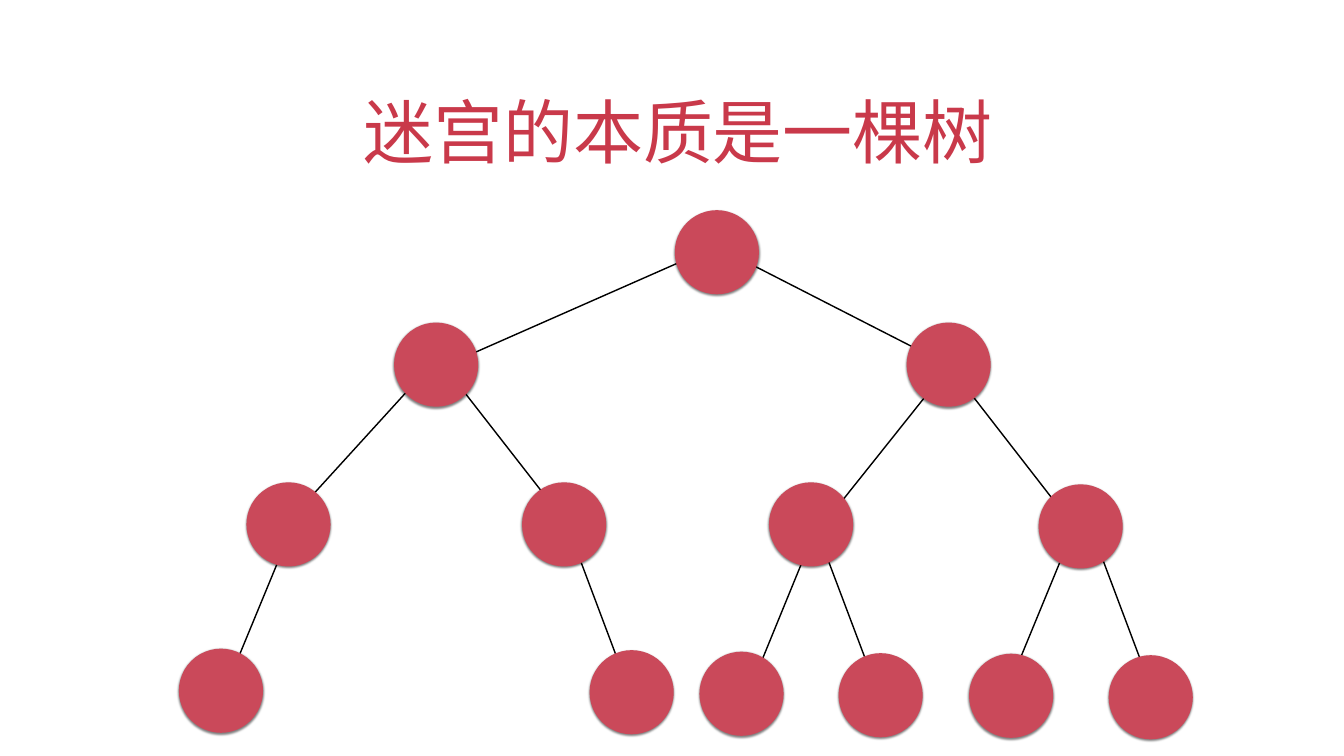
from typing import NamedTuple

from lxml import etree
from pptx import Presentation
from pptx import util as u
from pptx.dml.color import RGBColor
from pptx.enum import shapes, text
from pptx.oxml.ns import qn

SCALE = 9144
WIDE, HIGH = 2667, 1500
SIZE = 167
TITLE = RGBColor(0xC9, 0x39, 0x4A)
ROSE = RGBColor(0xCA, 0x49, 0x5A)
BLACK = RGBColor(0, 0, 0)


class Node(NamedTuple):
    left: int
    top: int


class Edge(NamedTuple):
    x1: int
    y1: int
    x2: int
    y2: int


NODES = [
    Node(1339, 417),
    Node(782, 640), Node(1799, 640),
    Node(489, 957), Node(1036, 957), Node(1526, 957), Node(2061, 961),
    Node(355, 1287), Node(1170, 1290), Node(1388, 1293),
    Node(1664, 1296), Node(1923, 1297), Node(2200, 1300),
]
EDGES = [
    Edge(866, 733, 1413, 492), Edge(1871, 719, 1427, 492),
    Edge(564, 1044, 851, 729), Edge(1145, 1065, 866, 707),
    Edge(1623, 1054, 1891, 718), Edge(2164, 1087, 1886, 729),
    Edge(439, 1387, 582, 1041), Edge(1257, 1392, 1125, 1041),
    Edge(1478, 1393, 1620, 1046), Edge(1751, 1397, 1619, 1047),
    Edge(1986, 1400, 2129, 1053), Edge(2298, 1402, 2166, 1051),
]


def px(n: int) -> u.Emu:
    return u.Emu(n * SCALE)


def write(slide, words: str, *, left: int, top: int, wide: int, high: int,
          size: int, font: str, color: RGBColor, indent: int = 0) -> None:
    box = slide.shapes.add_textbox(px(left), px(top), px(wide), px(high))
    frame = box.text_frame
    frame.word_wrap = True
    frame.vertical_anchor = text.MSO_ANCHOR.BOTTOM
    frame.margin_left = frame.margin_right = px(6)
    frame.margin_top = frame.margin_bottom = px(6)
    para = frame.paragraphs[0]
    para.alignment = text.PP_ALIGN.CENTER
    props = para._p.get_or_add_pPr()
    props.set("marL", "0")
    props.set("indent", str(px(indent)))
    run = para.add_run()
    run.text = words
    run.font.size = u.Pt(size)
    run.font.name = font
    run.font.color.rgb = color


def join(slide, edge: Edge) -> None:
    line = slide.shapes.add_connector(
        shapes.MSO_CONNECTOR.STRAIGHT, *(px(n) for n in edge))
    line.line.color.rgb = BLACK
    line.line.width = u.Pt(2)
    etree.SubElement(line._element.spPr, qn("a:effectLst"))


def shade(shape) -> None:
    shape.shadow.inherit = False
    glow = etree.SubElement(
        shape._element.spPr.find(qn("a:effectLst")), qn("a:outerShdw"),
        blurRad=str(u.Pt(3)), dist=str(u.Pt(2)), dir="5400000", rotWithShape="0")
    tint = etree.SubElement(glow, qn("a:srgbClr"), val=str(BLACK))
    etree.SubElement(tint, qn("a:alpha"), val="50000")


def dot(slide, node: Node) -> None:
    disc = slide.shapes.add_shape(
        shapes.MSO_SHAPE.OVAL, px(node.left), px(node.top), px(SIZE), px(SIZE))
    disc.fill.solid()
    disc.fill.fore_color.rgb = ROSE
    disc.line.fill.background()
    shade(disc)


def main() -> None:
    deck = Presentation()
    deck.slide_width, deck.slide_height = px(WIDE), px(HIGH)
    slide = deck.slides.add_slide(deck.slide_layouts[6])
    write(slide, "迷宫的本质是一棵树", left=194, top=127, wide=2278, high=222,
          size=100, font="Roboto", color=TITLE, indent=25)
    for edge in EDGES:
        join(slide, edge)
    for node in NODES:
        dot(slide, node)
    deck.save("out.pptx")


if __name__ == "__main__":
    main()
